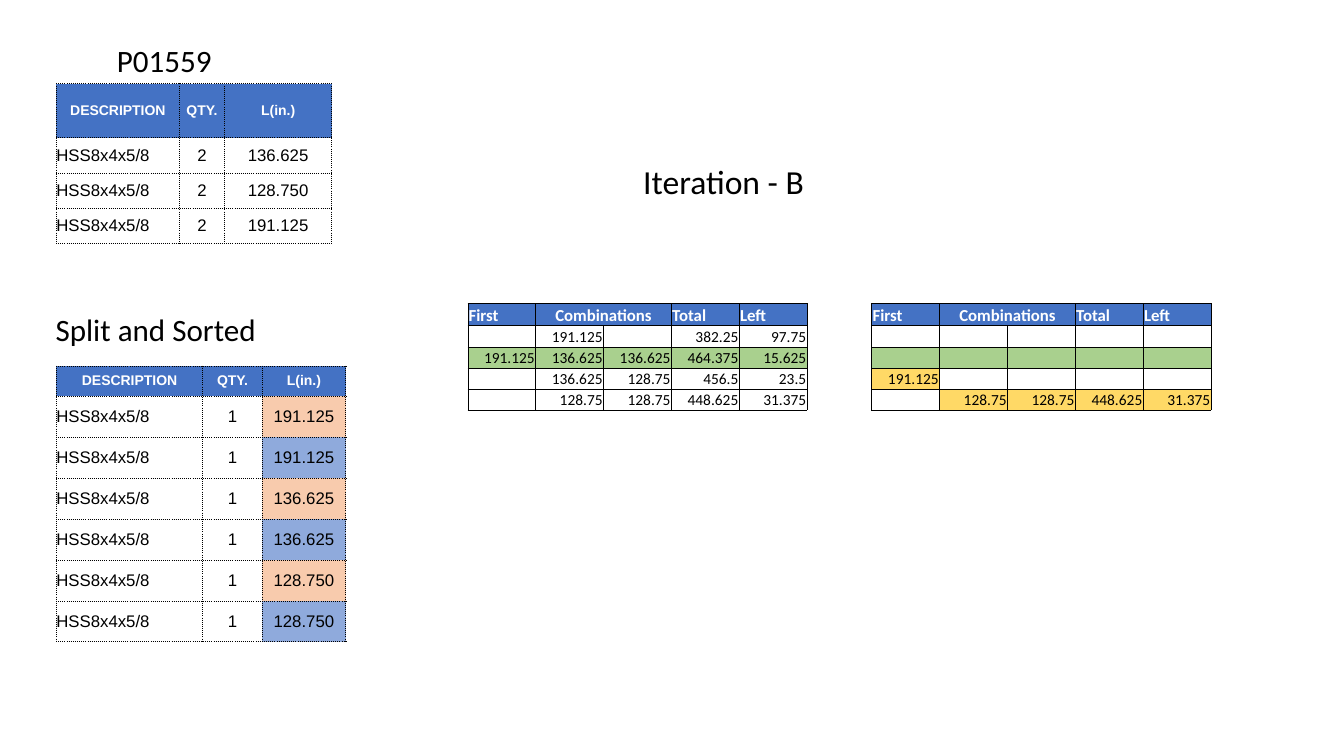
from pptx import Presentation
from pptx import util as u
from pptx.dml.color import RGBColor
from pptx.enum import text
from pptx.oxml import parse_xml
from pptx.oxml.ns import nsdecls

BLUE, WHITE, BLACK = "4472C4", "FFFFFF", "000000"
PEACH, SKY, GREEN, YELLOW = "F8CBAD", "8FAADC", "A9D08E", "FFD966"
LEFT, CENTER, RIGHT = text.PP_ALIGN.LEFT, text.PP_ALIGN.CENTER, text.PP_ALIGN.RIGHT
PARTS_HEADER = ["DESCRIPTION", "QTY.", "L(in.)"]
COMBINATION_HEADER = ["First", "Combinations", "", "Total", "Left"]


def colour(value):
    return RGBColor.from_string(value)


def style_spans(para, size, font, ink, bold=False):
    for span in para.runs:
        span.font.size = u.Pt(size)
        span.font.name = font
        span.font.bold = bold
        span.font.color.rgb = colour(ink)


def write_heading(shape, box, words, size, spacing):
    shape.left, shape.top, shape.width, shape.height = map(u.Cm, box)
    shape.text_frame.word_wrap = True
    shape.text_frame.text = words
    para = shape.text_frame.paragraphs[0]
    para.alignment = CENTER
    para.line_spacing = spacing
    para.space_before = u.Pt(10)
    style_spans(para, size, "Calibri", BLACK)


def add_label(page, box, words):
    shape = page.shapes.add_textbox(0, 0, 0, 0)
    write_heading(shape, box, words, 22.2, 0.7)
    shape.text_frame.vertical_anchor = text.MSO_ANCHOR.MIDDLE


def border_cell(cell, dash):
    properties = cell._tc.get_or_add_tcPr()
    for index, side in enumerate("LRTB"):
        properties.insert(index, parse_xml(
            f'<a:ln{side} {nsdecls("a")} w="6350"><a:solidFill><a:srgbClr val="{BLACK}"/>'
            f'</a:solidFill><a:prstDash val="{dash}"/></a:ln{side}>'))


def format_cell(cell, words, fill, alignment, size, font, ink, bold, dash, anchor, inset):
    cell.text = words
    cell.vertical_anchor = anchor
    cell.margin_left = cell.margin_right = cell.margin_top = u.Cm(inset)
    cell.margin_bottom = 0
    para = cell.text_frame.paragraphs[0]
    para.alignment = alignment
    style_spans(para, size, font, ink, bold)
    if not words:
        para._p.get_or_add_endParaRPr().set("sz", str(size * 100))
    if fill:
        cell.fill.solid()
        cell.fill.fore_color.rgb = colour(fill)
    else:
        cell.fill.background()
    border_cell(cell, dash)


def add_grid(page, place, widths, heights, rows, fills, alignments, sizes, font, dash, anchor, inset):
    left, top = place
    frame = page.shapes.add_table(len(rows), len(widths), u.Cm(left), u.Cm(top),
                                  u.Cm(sum(widths)), u.Cm(sum(heights)))
    table = frame.table
    table.horz_banding = False
    for column, width in zip(table.columns, widths):
        column.width = u.Cm(width)
    for line, height in zip(table.rows, heights):
        line.height = u.Cm(height)
    for r, values in enumerate(rows):
        header = r == 0
        for c, words in enumerate(values):
            format_cell(table.cell(r, c), words, BLUE if header else fills.get((r, c)),
                        alignments[0 if header else 1][c], sizes[0 if header else 1], font,
                        WHITE if header else BLACK, header, dash, anchor, inset)
    return table


def add_parts(page, place, widths, header_height, row_height, quantity, lengths, tints=()):
    rows = [PARTS_HEADER] + [["HSS8x4x5/8", quantity, length] for length in lengths]
    heights = [header_height] + [row_height] * len(lengths)
    fills = {(r, 2): tints[(r - 1) % len(tints)] for r in range(1, len(rows)) if tints}
    add_grid(page, place, widths, heights, rows, fills,
             ([CENTER] * 3, [LEFT, CENTER, CENTER]), (10, 12), "Arial", "dot",
             text.MSO_ANCHOR.MIDDLE, 0)


def add_combinations(page, place, body, chosen=()):
    fills = {(2, c): GREEN for c in range(5)}
    fills.update({spot: YELLOW for spot in chosen})
    table = add_grid(page, place, [1.71] * 5, [0.56] + [0.53] * 4, [COMBINATION_HEADER] + body, fills,
                     ([LEFT, CENTER, CENTER, LEFT, LEFT], [RIGHT] * 5), (12, 11), "Calibri", "solid",
                     text.MSO_ANCHOR.BOTTOM, 0.02)
    table.cell(0, 1).merge(table.cell(0, 2))


def build_slide(deck):
    page = deck.slides.add_slide(deck.slide_layouts[0])
    title, subtitle = page.placeholders
    title.element.getparent().remove(title.element)
    write_heading(subtitle, (12.09, 4.04, 12.29, 1.85), "Iteration - B", 24, 0.9)

    add_parts(page, (1.42, 2.11), (3.1, 1.14, 2.7), 1.36, 0.89, "2",
              ["136.625", "128.750", "191.125"])
    add_parts(page, (1.42, 9.3 - 0.08), (3.69, 1.5, 2.1), 0.77, 1.03, "1",
              [length for length in ("191.125", "136.625", "128.750") for _ in range(2)],
              (PEACH, SKY))
    add_label(page, (1.12, 7.92, 5.61, 0.99), "Split and Sorted")
    add_label(page, (2.26, 1.14, 3.94, 0.99), "P01559 ")

    add_combinations(page, (11.79, 7.65), [
        ["", "191.125", "", "382.25", "97.75"],
        ["191.125", "136.625", "136.625", "464.375", "15.625"],
        ["", "136.625", "128.75", "456.5", "23.5"],
        ["", "128.75", "128.75", "448.625", "31.375"]])
    add_combinations(page, (21.97, 7.65), [
        [""] * 5,
        [""] * 5,
        ["191.125", "", "", "", ""],
        ["", "128.75", "128.75", "448.625", "31.375"]],
        [(3, 0)] + [(4, c) for c in range(1, 5)])


def main():
    deck = Presentation()
    deck.slide_width, deck.slide_height = u.Cm(33.87), u.Cm(19.05)
    build_slide(deck)
    deck.save("out.pptx")


if __name__ == "__main__":
    main()
